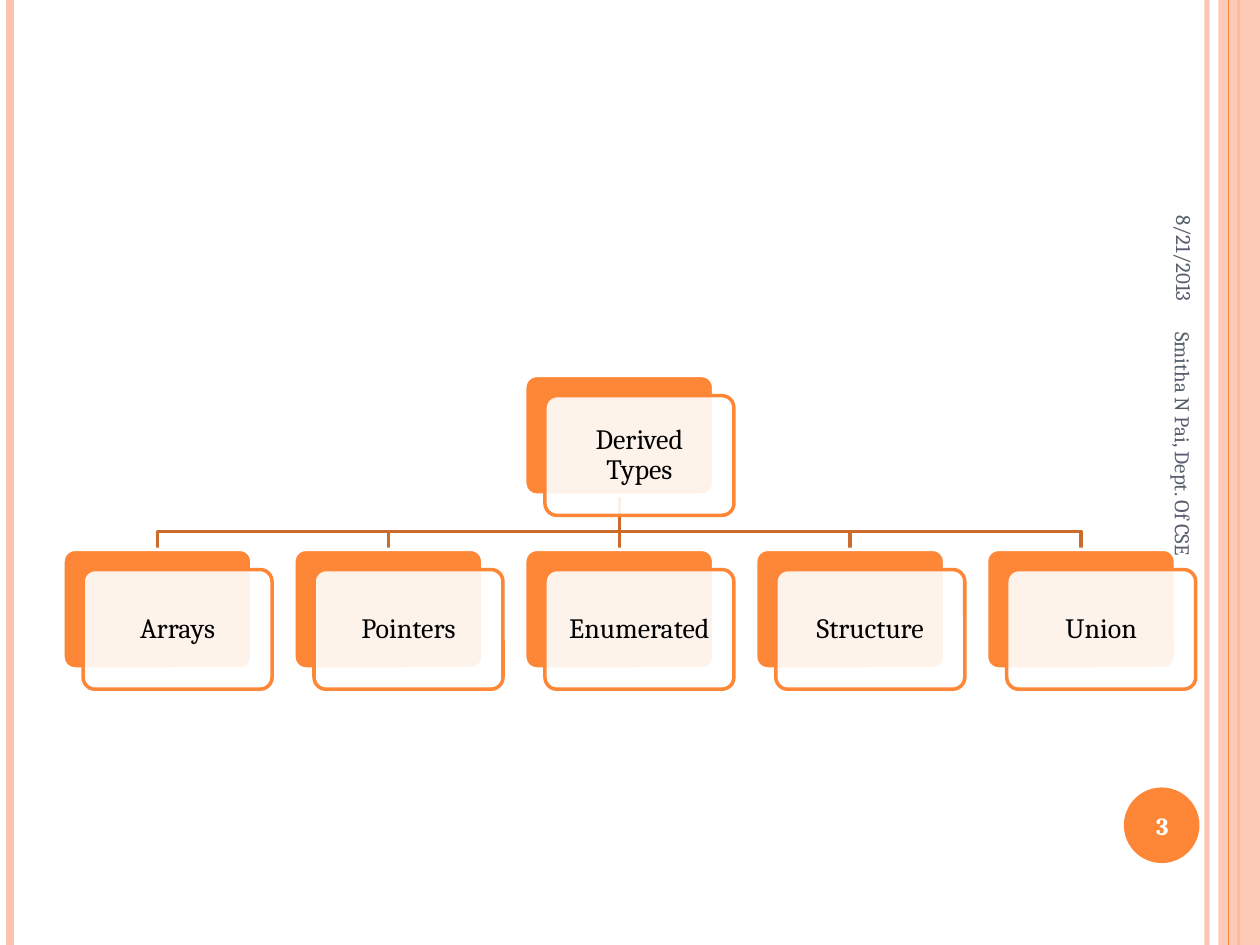
from lxml import etree
from pptx import Presentation
from pptx.dml.color import RGBColor
from pptx.enum.shapes import MSO_CONNECTOR, MSO_SHAPE
from pptx.enum.text import MSO_ANCHOR, PP_ALIGN
from pptx.oxml.ns import qn
from pptx.util import Inches, Pt

STRAIGHT = MSO_CONNECTOR.STRAIGHT
RECTANGLE, ROUNDED, OVAL = MSO_SHAPE.RECTANGLE, MSO_SHAPE.ROUNDED_RECTANGLE, MSO_SHAPE.OVAL
MIDDLE = MSO_ANCHOR.MIDDLE
LEFT, CENTER, RIGHT = PP_ALIGN.LEFT, PP_ALIGN.CENTER, PP_ALIGN.RIGHT
BOTTOM_SITE, TOP_SITE = 2, 0

FONT = "Cambria"
ORANGE, PEACH, RUST = "FE8637", "FEC3AE", "CB6B2C"
WHITE, BLACK, SLATE = "FFFFFF", "000000", "575F6D"
CARD_W, CARD_H = 1.5, 0.95
CARD_SHIFT = 0.16


def paint(color_format, color, alpha=100):
    color_format.rgb = RGBColor.from_string(color)
    if alpha < 100:
        for node in color_format._xFill.iter(qn("a:srgbClr")):
            etree.SubElement(node, qn("a:alpha")).set("val", str(alpha * 1000))


def stroke(part, color, width, alpha=100):
    part.line.fill.solid()
    paint(part.line.fill.fore_color, color, alpha)
    part.line.width = Pt(width)


def add_block(slide, kind, box, fill, alpha=100, line=None):
    block = slide.shapes.add_shape(kind, *map(Inches, box))
    block.shadow.inherit = False
    block.fill.solid()
    paint(block.fill.fore_color, fill, alpha)
    if line:
        stroke(block, line, 2)
    else:
        block.line.fill.background()
    return block


def add_line(slide, start, end, color, width, alpha=100):
    line = slide.shapes.add_connector(STRAIGHT, *map(Inches, (*start, *end)))
    stroke(line, color, width, alpha)
    etree.SubElement(line._element.spPr, qn("a:effectLst"))
    return line


def write(frame, text, size, color, align, bold=False):
    frame.word_wrap = True
    frame.vertical_anchor = MIDDLE
    paragraph = frame.paragraphs[0]
    paragraph.text = text
    paragraph.alignment = align
    font = paragraph.font
    font.name, font.size, font.bold = FONT, Pt(size), bold
    paint(font.color, color)
    return paragraph


def add_label(slide, box, text, size, color, align, rotation=0, bold=False):
    label = slide.shapes.add_textbox(*map(Inches, box))
    label.rotation = rotation
    write(label.text_frame, text, size, color, align, bold)


def add_borders(slide, height):
    def rule(x, color, width, alpha=100):
        add_line(slide, (x, 0), (x, height), color, width, alpha)

    rule(9.58, PEACH, 3, 93)
    rule(0.08, PEACH, 4.5)
    rule(9.83, ORANGE, 1.5)
    add_block(slide, RECTANGLE, (9.67, 0, 0.33, height), PEACH, 87)
    rule(9.75, ORANGE, 0.75)


def add_card(slide, left, top, text):
    back = add_block(slide, ROUNDED, (left, top, CARD_W, CARD_H), ORANGE, line=WHITE)
    front_box = (left + CARD_SHIFT, top + CARD_SHIFT, CARD_W, CARD_H)
    front = add_block(slide, ROUNDED, front_box, WHITE, 90, ORANGE)
    back.adjustments[0] = front.adjustments[0] = 0.1
    frame = front.text_frame
    frame.margin_left = frame.margin_right = Inches(0.1)
    frame.margin_top = frame.margin_bottom = Inches(0.1)
    write(frame, text, 16, BLACK, CENTER).line_spacing = 0.9
    return back


def add_branch(slide, start, end, bend_y):
    points = [(start[0], bend_y), (end[0], bend_y), end]
    builder = slide.shapes.build_freeform(*map(Inches, start))
    builder.add_line_segments([(Inches(x), Inches(y)) for x, y in points], close=False)
    branch = builder.convert_to_shape()
    branch.shadow.inherit = False
    branch.fill.background()
    stroke(branch, RUST, 2)


def add_hierarchy(slide, box, root, children):
    left, top, width, height = box
    pitch = (width - CARD_W - CARD_SHIFT) / (len(children) - 1)
    child_top = top + height - CARD_H - CARD_SHIFT
    lefts = [left + i * pitch for i in range(len(children))]
    middle = len(children) // 2
    root_left = lefts[middle]
    start = (root_left + CARD_W / 2, top + CARD_H)
    for i, child_left in enumerate(lefts):
        end = (child_left + CARD_W / 2, child_top)
        if i == middle:
            trunk = add_line(slide, start, end, RUST, 2)
        else:
            add_branch(slide, start, end, child_top - 0.14)
    root_card = add_card(slide, root_left, top, root)
    cards = [add_card(slide, x, child_top, text) for x, text in zip(lefts, children)]
    trunk.begin_connect(root_card, BOTTOM_SITE)
    trunk.end_connect(cards[middle], TOP_SITE)


def add_footer(slide):
    add_label(slide, (8.3, 1.18, 2.2, 0.42), "8/21/2013", 12, SLATE, RIGHT, 90)
    add_label(slide, (7.64, 4.09, 3.5, 0.4), "Smitha N Pai, Dept. Of CSE", 12, SLATE, LEFT, 90)
    add_label(slide, (8.89, 6.27, 0.67, 0.57), "3", 14, WHITE, CENTER, bold=True)


def main():
    deck = Presentation()
    deck.slide_width, deck.slide_height = Inches(10), Inches(7.5)
    slide = deck.slides.add_slide(deck.slide_layouts[6])
    add_borders(slide, 7.5)
    add_block(slide, OVAL, (8.92, 6.25, 0.6, 0.6), ORANGE)
    add_hierarchy(
        slide,
        (0.5, 2.98, 8.99, 2.49),
        "Derived Types",
        ["Arrays", "Pointers", "Enumerated", "Structure", "Union"],
    )
    add_footer(slide)
    deck.save("out.pptx")


if __name__ == "__main__":
    main()
